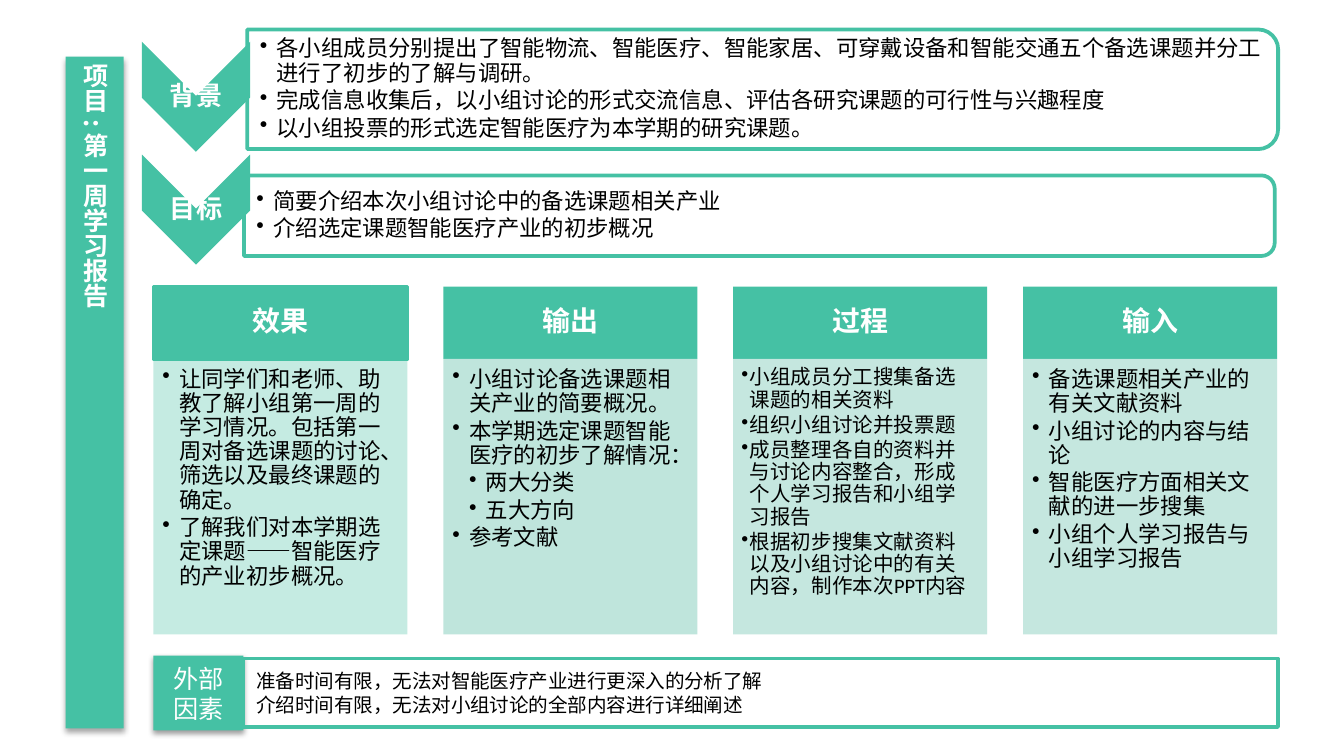
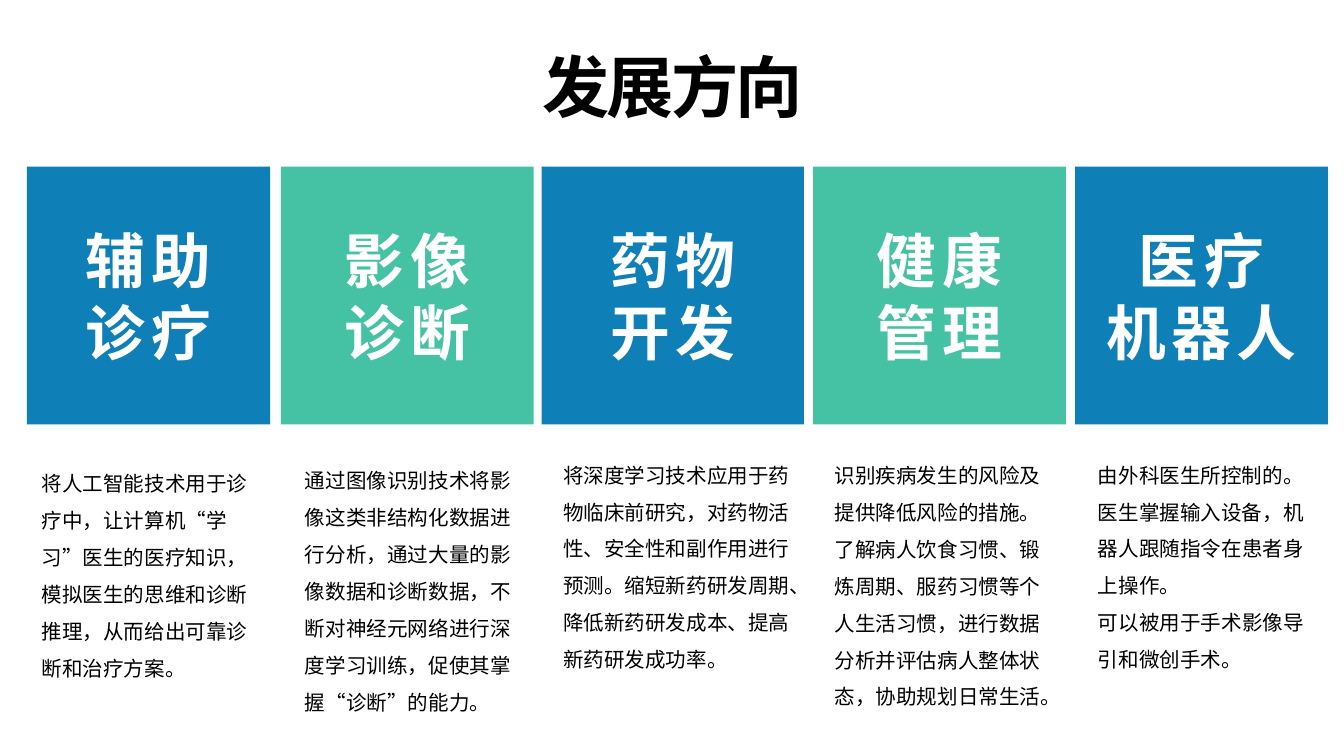
from lxml import etree
from pptx import Presentation
from pptx.dml.color import RGBColor
from pptx.enum.shapes import MSO_SHAPE
from pptx.enum.text import MSO_ANCHOR, MSO_AUTO_SIZE, PP_ALIGN
from pptx.oxml.ns import qn
from pptx.util import Pt

GREEN = RGBColor(0x45, 0xC1, 0xA4)
PALE = RGBColor(0xBF, 0xE5, 0xDC)
BLUE = RGBColor(0x0E, 0x7F, 0xB7)
WHITE = RGBColor(0xFF, 0xFF, 0xFF)
BLACK = RGBColor(0, 0, 0)

RECT, CHEVRON = MSO_SHAPE.RECTANGLE, MSO_SHAPE.CHEVRON
ROUND_SIDE = MSO_SHAPE.ROUND_2_SAME_RECTANGLE
LEFT, CENTER = PP_ALIGN.LEFT, PP_ALIGN.CENTER
TOP, MIDDLE = MSO_ANCHOR.TOP, MSO_ANCHOR.MIDDLE
NO_FIT = MSO_AUTO_SIZE.NONE

LATIN, CJK = "Calibri", "Noto Sans CJK SC"
TITLE_ONLY = 5

# Slide 1: (heading, centre y, panel left, top, height, text height, points)
BANDS = [
    ("背景", 51.8, 132.5, 15.8, 64.1, 57.6, [
        "各小组成员分别提出了智能物流、智能医疗、智能家居、可穿戴设备和智能交通五个备选课题并分工进行了初步的了解与调研。",
        "完成信息收集后，以小组讨论的形式交流信息、评估各研究课题的可行性与兴趣程度",
        "以小组投票的形式选定智能医疗为本学期的研究课题。"]),
    ("目标", 112.3, 130.7, 94, 43.2, 39.6, [
        "简要介绍本次小组讨论中的备选课题相关产业",
        "介绍选定课题智能医疗产业的初步概况"]),
]

# (heading, body colour, opacity in %, text size, indent, points); a tuple is a sub-point
COLUMNS = [
    ("效果", GREEN, 31, 12, 9, [
        "让同学们和老师、助教了解小组第一周的学习情况。包括第一周对备选课题的讨论、筛选以及最终课题的确定。",
        "了解我们对本学期选定课题——智能医疗的产业初步概况。"]),
    ("输出", PALE, 100, 12, 9, [
        "小组讨论备选课题相关产业的简要概况。",
        "本学期选定课题智能医疗的初步了解情况：",
        ("两大分类",), ("五大方向",),
        "参考文献"]),
    ("过程", PALE, 90, 11, 4.5, [
        "小组成员分工搜集备选课题的相关资料",
        "组织小组讨论并投票题",
        "成员整理各自的资料并与讨论内容整合，形成个人学习报告和小组学习报告",
        "根据初步搜集文献资料以及小组讨论中的有关内容，制作本次PPT内容"]),
    ("输入", PALE, 90, 12, 9, [
        "备选课题相关产业的有关文献资料",
        "小组讨论的内容与结论",
        "智能医疗方面相关文献的进一步搜集",
        "小组个人学习报告与小组学习报告"]),
]

LIMITS = ["准备时间有限，无法对智能医疗产业进行更深入的分析了解",
          "介绍时间有限，无法对小组讨论的全部内容进行详细阐述"]

# Slide 2: (tile lines, tile left, tile width, text box, text paragraphs)
DIRECTIONS = [
    (["辅助", "诊疗"], 14.4, 130.3, (18.7, 243.4, 126, 121), [
        "将人工智能技术用于诊疗中，让计算机“学习”医生的医疗知识，模拟医生的思维和诊断推理，从而给出可靠诊断和治疗方案。"]),
    (["影像", "诊断"], 150.5, 135.4, (159.8, 241.9, 126, 141), [
        "通过图像识别技术将影像这类非结构化数据进行分析，通过大量的影像数据和诊断数据，不断对神经元网络进行深度学习训练，促使其掌握“诊断”的能力。"]),
    (["药物", "开发"], 290.2, 140.4, (298.1, 239, 132.5, 124), [
        "将深度学习技术应用于药物临床前研究，对药物活性、安全性和副作用进行预测。缩短新药研发周期、降低新药研发成本、提高新药研发成功率。"]),
    (["健康", "管理"], 435.6, 135.4, (443.5, 239, 126, 143), [
        "识别疾病发生的风险及提供降低风险的措施。",
        "了解病人饮食习惯、锻炼周期、服药习惯等个人生活习惯，进行数据分析并评估病人整体状态，协助规划日常生活。"]),
    (["医疗", "机器人"], 576, 135.4, (584.6, 239, 126, 124), [
        "由外科医生所控制的。医生掌握输入设备，机器人跟随指令在患者身上操作。",
        "可以被用于手术影像导引和微创手术。"]),
]


def place(shape, box):
    shape.left, shape.top, shape.width, shape.height = (Pt(v) for v in box)


def add_panel(s, kind, box, fill=None, line=None, opacity=100, turned=False):
    """Add a shape; a turned one covers the box after a quarter turn."""
    if turned:
        x, y, w, h = box
        box = (x + (w - h) / 2, y + (h - w) / 2, h, w)
    sp = s.shapes.add_shape(kind, *(Pt(v) for v in box))
    sp.shadow.inherit = False
    sp.rotation = 90 if turned else 0
    if fill is None:
        sp.fill.background()
    else:
        sp.fill.solid()
        sp.fill.fore_color.rgb = fill
    if opacity < 100:
        color = sp.fill._xPr.find(qn("a:solidFill"))[0]
        etree.SubElement(color, qn("a:alpha"), val=str(opacity * 1000))
    if line is None:
        sp.line.fill.background()
    else:
        sp.line.color.rgb = line
        sp.line.width = Pt(2)
    return sp


def add_shadow(sp, opacity, distance):
    sp.shadow.inherit = False
    effects = sp._element.spPr.find(qn("a:effectLst"))
    shadow = etree.SubElement(effects, qn("a:outerShdw"), blurRad=str(Pt(3.1)),
                              dist=str(Pt(distance)), dir="5400000", rotWithShape="0")
    black = etree.SubElement(shadow, qn("a:srgbClr"), val="000000")
    etree.SubElement(black, qn("a:alpha"), val=str(opacity * 1000))


def set_bullet(p, level, indent):
    p.level = level
    pPr = p._p.get_or_add_pPr()
    pPr.set("marL", str(Pt(9 * (level - 1) + indent)))
    pPr.set("indent", str(-Pt(indent)))
    etree.SubElement(pPr, qn("a:buChar"), char="•")


def write(shape, items, size, color=BLACK, bold=False, font=CJK, align=LEFT, anchor=TOP,
          insets=(7.2, 3.6, 7.2, 3.6), spacing=1.0, bullet=0, tracking=0):
    """Fill a shape with one paragraph per item."""
    tf = shape.text_frame
    tf.word_wrap = True
    tf.auto_size = NO_FIT
    tf.vertical_anchor = anchor
    tf.margin_left, tf.margin_top, tf.margin_right, tf.margin_bottom = (Pt(v) for v in insets)
    for i, item in enumerate(items):
        p = tf.paragraphs[0] if i == 0 else tf.add_paragraph()
        nested = isinstance(item, tuple)
        p.text = item[0] if nested else item
        p.alignment = align
        p.line_spacing = spacing
        if bullet:
            set_bullet(p, 2 if nested else 1, bullet)
            p.space_after = Pt(round(size * 0.15, 2))
        for r in p.runs:
            r.font.size, r.font.bold, r.font.name = Pt(size), bold, font
            r.font.color.rgb = color
            rPr = r._r.get_or_add_rPr()
            etree.SubElement(rPr, qn("a:ea"), typeface=CJK)
            if tracking:
                rPr.set("spc", str(int(tracking * 100)))


def add_text(s, box, items, size, **style):
    write(s.shapes.add_textbox(*(Pt(v) for v in box)), items, size, **style)


def add_band(s, heading, center_y, left, top, height, text_height, points):
    add_panel(s, CHEVRON, (84.2 - 8.2, center_y - 29.5, 58, 59), GREEN, turned=True)
    add_text(s, (84.2, center_y - 9, 41.8, 18), [heading], 14, color=WHITE, bold=True,
             font=LATIN, align=CENTER, anchor=MIDDLE, insets=(0.7,) * 4, spacing=0.9)
    add_panel(s, ROUND_SIDE, (left, top, 552.2, height), line=GREEN, turned=True)
    add_text(s, (left, top + (height - text_height) / 2, 549.5, text_height), points, 12,
             font=LATIN, anchor=MIDDLE, insets=(6.7, 0.6, 0.6, 0.6), spacing=0.9, bullet=9)


def add_column(s, left, heading, fill, opacity, size, indent, points, outline=None):
    head = add_panel(s, RECT, (left, 153.5, 136.1, 38.8), GREEN, line=outline)
    write(head, [heading], 15, color=WHITE, bold=True, font=LATIN, align=CENTER,
          anchor=MIDDLE, insets=(8.6, 5, 8.6, 5), spacing=0.9)
    body = add_panel(s, RECT, (left, 192.3, 136.1, 147.6), fill, opacity=opacity)
    pad = 4.4 if size == 11 else 4.8
    write(body, points, size, font=LATIN, insets=(pad, pad, 6.4, 7.2),
          spacing=0.9, bullet=indent)


def build_report(prs):
    s = prs.slides.add_slide(prs.slide_layouts[TITLE_ONLY])
    # Vertical title bar
    title = s.shapes.title
    place(title, (35.2, 30.3, 31, 360))
    title.fill.solid()
    title.fill.fore_color.rgb = GREEN
    add_shadow(title, 35, 1.8)
    write(title, ["项目 : 第一周学习报告"], 13.5, color=WHITE, bold=True)
    title.text_frame._txBody.bodyPr.set("vert", "eaVert")
    # Background and goal
    for band in BANDS:
        add_band(s, *band)
    # Four columns
    for i, column in enumerate(COLUMNS):
        add_column(s, 82.2 + 155.3 * i, *column, outline=GREEN if i == 0 else None)
    # External factors
    label = add_panel(s, RECT, (82.2, 351.2, 48.2, 40.2), GREEN)
    add_shadow(label, 38, 1.6)
    write(label, ["外部因素"], 13.5, color=WHITE, align=CENTER, anchor=MIDDLE)
    note = add_panel(s, RECT, (130.3, 352.8, 554.4, 36.7), line=GREEN)
    write(note, LIMITS, 10.5, anchor=MIDDLE)


def build_directions(prs):
    s = prs.slides.add_slide(prs.slide_layouts[TITLE_ONLY])
    small = (3.6, 2.2, 3.6, 2.2)
    title = s.shapes.title
    place(title, (-0.7, 22.3, 722, 47.5))
    write(title, ["发展方向"], 36, bold=True, align=CENTER, anchor=MIDDLE,
          insets=small, tracking=-1.5)
    # Alternating tiles with a text below each
    for i, (name, left, width, box, paragraphs) in enumerate(DIRECTIONS):
        tile = add_panel(s, RECT, (left, 89.2, width, 138.2), GREEN if i % 2 else BLUE)
        write(tile, name, 32, color=WHITE, bold=True, align=CENTER, anchor=MIDDLE, tracking=3)
        add_text(s, box, paragraphs, 11, insets=small, spacing=1.5)


def main():
    prs = Presentation()
    prs.slide_width, prs.slide_height = Pt(720), Pt(405)
    build_report(prs)
    build_directions(prs)
    prs.save("out.pptx")


if __name__ == "__main__":
    main()
